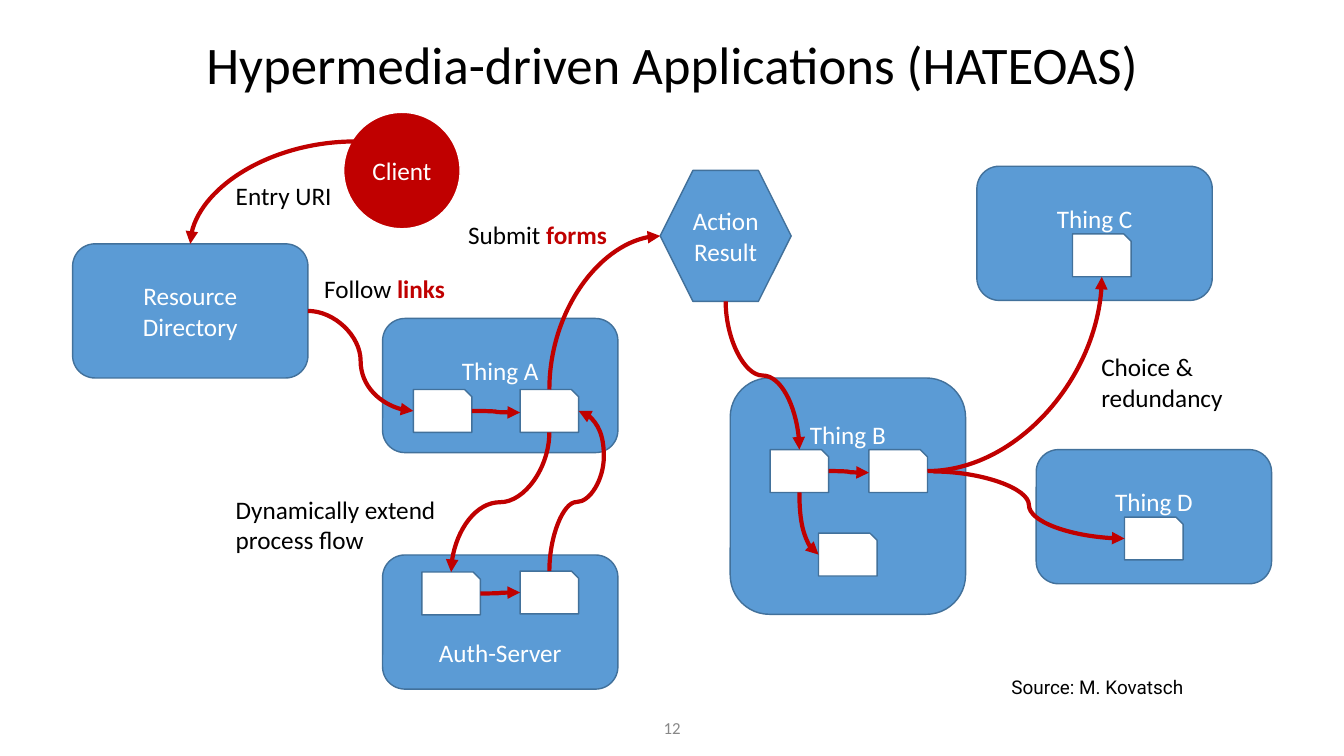
"""Build the slide on hypermedia-driven applications."""
from dataclasses import dataclass

from lxml.etree import SubElement
from pptx import Presentation
from pptx.dml.color import RGBColor
from pptx.enum.shapes import MSO_SHAPE
from pptx.enum.text import MSO_ANCHOR, PP_ALIGN
from pptx.oxml.ns import qn
from pptx.util import Cm, Pt


@dataclass(frozen=True)
class Theme:
    blue: str = "5B9BD5"
    edge: str = "42719B"
    red: str = "C00000"
    white: str = "FFFFFF"
    black: str = "000000"
    grey: str = "888888"
    font: str = "Calibri"
    source_font: str = "Roboto"
    title: float = 75.4
    body: float = 36
    source: float = 27
    number: float = 24
    outline: float = 2
    arrow: float = 6


THEME = Theme()
SLIDE = (67.73, 38.1)
THING = (11.86, 6.76)
CARD = (2.95, 2.16)
LINE = 1.55
INSET = 0.25

TITLE = ("Hypermedia-driven Applications (HATEOAS)", 8.61, 0.03, 50.52, 6.32)
SOURCE = ("Source: M. Kovatsch", 50.77, 33.86, 9.25, 1.52)
NUMBER = ("12", 33.17, 35.92, 1.4, 1.52)

# name, left, top, size, shape, lines the text is moved up
NODES = [
    ("Thing B", 36.8, 19.05, (11.86, 11.91), MSO_SHAPE.ROUNDED_RECTANGLE, 4),
    ("Thing A", 19.28, 16.05, THING, MSO_SHAPE.ROUNDED_RECTANGLE, 1),
    ("Client", 17.32, 5.66, (5.87, 5.87), MSO_SHAPE.OVAL, 0),
    ("Auth-Server", 19.28, 27.97, THING, MSO_SHAPE.ROUNDED_RECTANGLE, -2),
    ("Resource\vDirectory", 3.66, 12.29, THING, MSO_SHAPE.ROUNDED_RECTANGLE, 0),
    ("Action\vResult", 33.27, 8.59, (6.6, 6.6), MSO_SHAPE.HEXAGON, 0),
    ("Thing C", 49.23, 8.38, THING, MSO_SHAPE.ROUNDED_RECTANGLE, 1),
    ("Thing D", 52.22, 22.66, THING, MSO_SHAPE.ROUNDED_RECTANGLE, 1),
]

CARDS = {
    "A1": (20.83, 19.63), "A2": (26.21, 19.63),
    "Auth1": (21.26, 28.83), "Auth2": (26.21, 28.78),
    "B1": (38.81, 22.66), "B2": (43.79, 22.66), "B3": (41.25, 26.87),
    "C1": (54.05, 11.79), "D1": (56.67, 26.06),
}

ARROWS = [
    ("Action\vResult", "bottom", "B1", "top", "vertical", 0),
    ("Resource\vDirectory", "right", "A1", "left", "horizontal", 0),
    ("A1", "right", "A2", "left", "horizontal", 0.08),
    ("B1", "bottom", "B3", "left", "down-across", 0),
    ("B1", "right", "B2", "left", "horizontal", 0.08),
    ("A2", "bottom", "Auth1", "top", "vertical", 0),
    ("Auth1", "right", "Auth2", "left", "horizontal", 0),
    ("Auth2", "top", "A2", "right", "loop", 0),
    ("Client", "edge", "Resource\vDirectory", "top", "across-down", 0),
    ("A2", "top", "Action\vResult", "left", "down-across", 0),
    ("B2", "right", "C1", "bottom", "across-down", 0),
    ("B2", "beside", "D1", "left", "horizontal", 0),
]

LABELS = [
    ("Follow ", "links", 16.08, 13.54, 6.63, 2.06),
    ("Entry URI", "", 11.63, 8.84, 5.38, 2.06),
    ("Submit ", "forms", 23.34, 10.8, 7.54, 2.06),
    ("Dynamically extend\vprocess flow", "", 11.63, 24.64, 10.62, 3.61),
    ("Choice &\nredundancy", "", 55.25, 17.48, 6.65, 3.61),
]

SIDES = {
    "left": (0, 0.5), "right": (1, 0.5), "top": (0.5, 0), "bottom": (0.5, 1),
    "edge": (0.1, 0.25), "beside": (1.1, 0.51),
}


def color(code):
    """Turn a hex code into a colour."""
    return RGBColor.from_string(code)


def write(shape, text, size, ink, font=THEME.font, align=PP_ALIGN.LEFT,
          anchor=MSO_ANCHOR.MIDDLE, wrap=True, inset=INSET):
    """Fill a shape with evenly styled text."""
    frame = shape.text_frame
    frame.text = text
    frame.word_wrap = wrap
    frame.vertical_anchor = anchor
    frame.margin_left = frame.margin_right = Cm(inset)
    frame.margin_top = frame.margin_bottom = Cm(inset)
    for para in frame.paragraphs:
        para.alignment = align
        para.font.name = font
        para.font.size = Pt(size)
        para.font.color.rgb = color(ink)
    return frame


def add_block(page, kind, place, fill, edge):
    """Add a filled, outlined preset shape."""
    shape = page.shapes.add_shape(kind, *map(Cm, place))
    shape.shadow.inherit = False
    shape.fill.solid()
    shape.fill.fore_color.rgb = color(fill)
    shape.line.color.rgb = color(edge)
    shape.line.width = Pt(THEME.outline)
    return shape


def add_node(page, name, place, kind, lift):
    """Add a named node whose text is lifted by whole lines."""
    round_node = kind == MSO_SHAPE.OVAL
    fill, edge = (THEME.red, THEME.white) if round_node else (THEME.blue, THEME.edge)
    shape = add_block(page, kind, place, fill, edge)
    frame = write(shape, name, THEME.body, THEME.white, align=PP_ALIGN.CENTER)
    frame.margin_bottom = Cm(INSET + max(lift, 0) * LINE)
    frame.margin_top = Cm(INSET + max(-lift, 0) * LINE)


def add_text(page, text, left, top, width, height, *style, **options):
    """Add a text box."""
    box = page.shapes.add_textbox(Cm(left), Cm(top), Cm(width), Cm(height))
    return write(box, text, *style, **options)


def site(place, side):
    """Find the point on a side of a placed shape."""
    left, top, width, height = place
    across, down = SIDES[side]
    return left + across * width, top + down * height


def middle(first, second):
    """Find the point halfway between two points."""
    return (first[0] + second[0]) / 2, (first[1] + second[1]) / 2


def route(start, end, bend):
    """List the anchors of a route with a corner between each pair."""
    (x0, y0), (x1, y1) = start, end
    xm, ym = middle(start, end)
    if bend == "loop":
        ym, far = y0 - 3.48, x1 + 1.27
        return [start, (x0, ym), ((x0 + far) / 2, ym), (far, ym),
                (far, (ym + y1) / 2), (far, y1), end]
    return {
        "horizontal": [start, (xm, y0), (xm, ym), (xm, y1), end],
        "vertical": [start, (x0, ym), (xm, ym), (x1, ym), end],
        "across-down": [start, (x1, y0), end],
        "down-across": [start, (x0, y1), end],
    }[bend]


def add_arrow(page, points):
    """Add a curved arrow that rounds every corner of a route."""
    controls = []
    for begin, corner, finish in zip(points[::2], points[1::2], points[2::2]):
        controls += [middle(begin, corner), middle(corner, finish), finish]
    builder = page.shapes.build_freeform(*map(Cm, points[0]))
    builder.add_line_segments([(Cm(x), Cm(y)) for x, y in controls], close=False)
    shape = builder.convert_to_shape()
    shape.shadow.inherit = False
    shape.fill.background()
    shape.line.color.rgb = color(THEME.red)
    shape.line.width = Pt(THEME.arrow)
    segments = list(shape._element.iter(qn("a:lnTo")))
    for first, second, third in zip(*[iter(segments)] * 3):
        first.tag = qn("a:cubicBezTo")
        for segment in (second, third):
            first.append(segment[0])
            segment.getparent().remove(segment)
    outline = shape._element.spPr.find(qn("a:ln"))
    SubElement(outline, qn("a:tailEnd"), type="triangle")


def main():
    """Assemble and save the deck."""
    deck = Presentation()
    deck.slide_width, deck.slide_height = map(Cm, SLIDE)
    page = deck.slides.add_slide(deck.slide_layouts[6])
    places = {name: (*corner, *CARD) for name, corner in CARDS.items()}
    for name, left, top, size, kind, lift in NODES:
        places[name] = (left, top, *size)
        add_node(page, name, places[name], kind, lift)
    for name in CARDS:
        add_block(page, MSO_SHAPE.SNIP_1_RECTANGLE, places[name], THEME.white, THEME.edge)
    for origin, exit_side, target, entry_side, bend, drop in ARROWS:
        x, y = site(places[target], entry_side)
        add_arrow(page, route(site(places[origin], exit_side), (x, y + drop), bend))
    for text, strong, *place in LABELS:
        frame = add_text(page, text, *place, THEME.body, THEME.black,
                         anchor=MSO_ANCHOR.TOP, wrap=False)
        if strong:
            span = frame.paragraphs[0].add_run()
            span.text = strong
            span.font.bold = True
            span.font.color.rgb = color(THEME.red)
    add_text(page, *TITLE, THEME.title, THEME.black, align=PP_ALIGN.CENTER, inset=0.2)
    add_text(page, *SOURCE, THEME.source, THEME.black, font=THEME.source_font,
             wrap=False, inset=0.2)
    add_text(page, *NUMBER, THEME.number, THEME.grey, align=PP_ALIGN.CENTER, wrap=False)
    deck.save("out.pptx")


if __name__ == "__main__":
    main()
